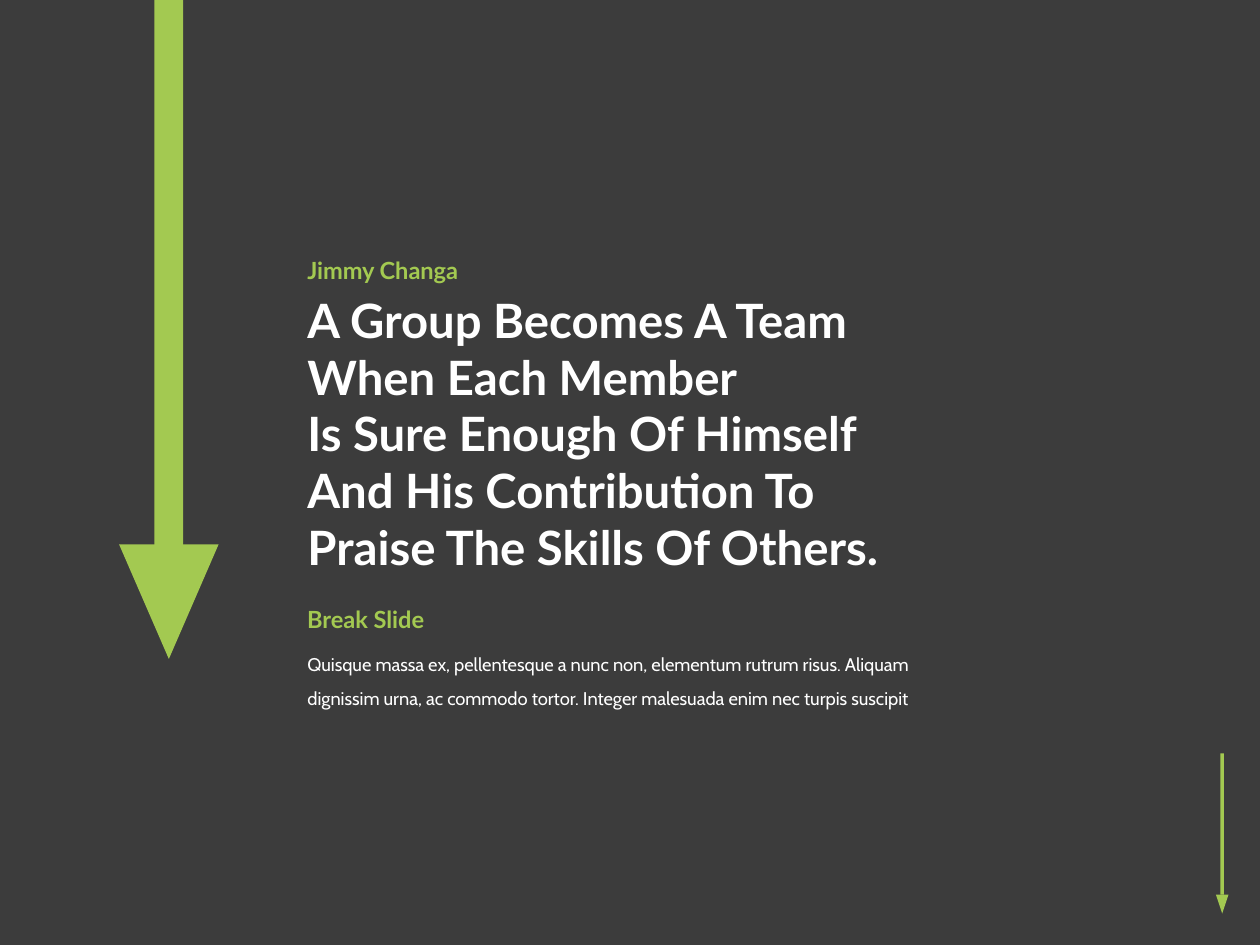
"""Build the break slide with a quotation and two downward arrows."""
import pptx
import pptx.dml.color
import pptx.enum.shapes
import pptx.enum.text
import pptx.oxml.xmlchemy
import pptx.util
from pptx.util import Inches

COLORS = {"background": "3C3C3C", "accent": "A3C951", "text": "FFFFFF"}
QUOTE = [
    "A Group Becomes A Team",
    "When Each Member",
    "Is Sure Enough Of Himself",
    "And His Contribution To",
    "Praise The Skills Of Others.",
]
SUMMARY = (
    "Quisque massa ex, pellentesque a nunc non, elementum rutrum risus. "
    "Aliquam dignissim urna, ac commodo tortor. "
    "Integer malesuada enim nec turpis suscipit"
)
TEXT_LEFT = 2.34


class BreakSlide:
    """Hold the style and the current slide."""

    def __init__(self, deck):
        self.slide = deck.slides.add_slide(deck.slide_layouts[1])
        self.paint(self.slide.background.fill, "background")

    def paint(self, fill, color):
        """Make a fill solid in a named colour."""
        fill.solid()
        fill.fore_color.rgb = pptx.dml.color.RGBColor.from_string(COLORS[color])

    def down_arrow(self, center, top, shaft_width, shaft_height,
                   head_top, head_width, head_height):
        """Draw a grouped shaft and head centred on a vertical axis."""
        kinds = pptx.enum.shapes.MSO_SHAPE
        group = self.slide.shapes.add_group_shape()
        for kind, y, width, height, turn in (
            (kinds.RECTANGLE, top, shaft_width, shaft_height, 0),
            (kinds.ISOSCELES_TRIANGLE, head_top, head_width, head_height, 180),
        ):
            part = group.shapes.add_shape(
                kind, Inches(center - width / 2), Inches(y), Inches(width), Inches(height))
            part.rotation = turn
            part.shadow.inherit = False
            part.line.fill.background()
            self.paint(part.fill, "accent")

    def set_copy(self, holder, text, top, width, height, size, font, color,
                 bold=False, spacing=1.0):
        """Place a text holder and format its paragraphs."""
        holder.left, holder.top = Inches(TEXT_LEFT), Inches(top)
        holder.width, holder.height = Inches(width), Inches(height)
        frame = holder.text_frame
        frame.text = text
        frame.word_wrap = True
        frame.auto_size = pptx.enum.text.MSO_AUTO_SIZE.SHAPE_TO_FIT_TEXT
        frame.vertical_anchor = pptx.enum.text.MSO_ANCHOR.TOP
        for paragraph in frame.paragraphs:
            paragraph.alignment = pptx.enum.text.PP_ALIGN.LEFT
            paragraph.line_spacing = spacing
            paragraph.space_before = pptx.util.Pt(0)
            for run in paragraph.runs:
                run.font.name = font
                run.font.size = pptx.util.Pt(size)
                run.font.bold = bold
                self.paint(run.font.fill, color)

    def quote(self, lines):
        """Set the quotation in the title placeholder."""
        self.set_copy(self.slide.shapes.title, "\n".join(lines),
                      2.26, 5.7, 2.37, 27, "Lato", "text", bold=True)

    def body(self, text):
        """Set the summary in the body placeholder without a bullet."""
        holder = self.slide.placeholders[1]
        self.set_copy(holder, text, 5.05, 5.41, 0.6, 10.5, "Cabin", "text", spacing=1.5)
        for paragraph in holder.text_frame.paragraphs:
            properties = paragraph._p.get_or_add_pPr()
            properties.set("marL", "0")
            properties.set("indent", "0")
            properties.append(pptx.oxml.xmlchemy.OxmlElement("a:buNone"))

    def label(self, text, top, width):
        """Add a short accent label."""
        box = self.slide.shapes.add_textbox(0, 0, 0, 0)
        self.set_copy(box, text, top, width, 0.33, 13.5, "Lato", "accent", bold=True)


def main():
    """Assemble and save the slide."""
    deck = pptx.Presentation()
    deck.slide_width, deck.slide_height = Inches(10), Inches(7.5)
    page = BreakSlide(deck)
    page.down_arrow(9.7, 5.98, 0.03, 1.12, 7.1, 0.1, 0.15)
    page.down_arrow(1.34, -0.14, 0.23, 4.48, 4.32, 0.79, 0.91)
    page.quote(QUOTE)
    page.label("Jimmy Changa", 1.98, 1.81)
    page.body(SUMMARY)
    page.label("Break Slide", 4.75, 1.67)
    deck.save("out.pptx")


if __name__ == "__main__":
    main()
